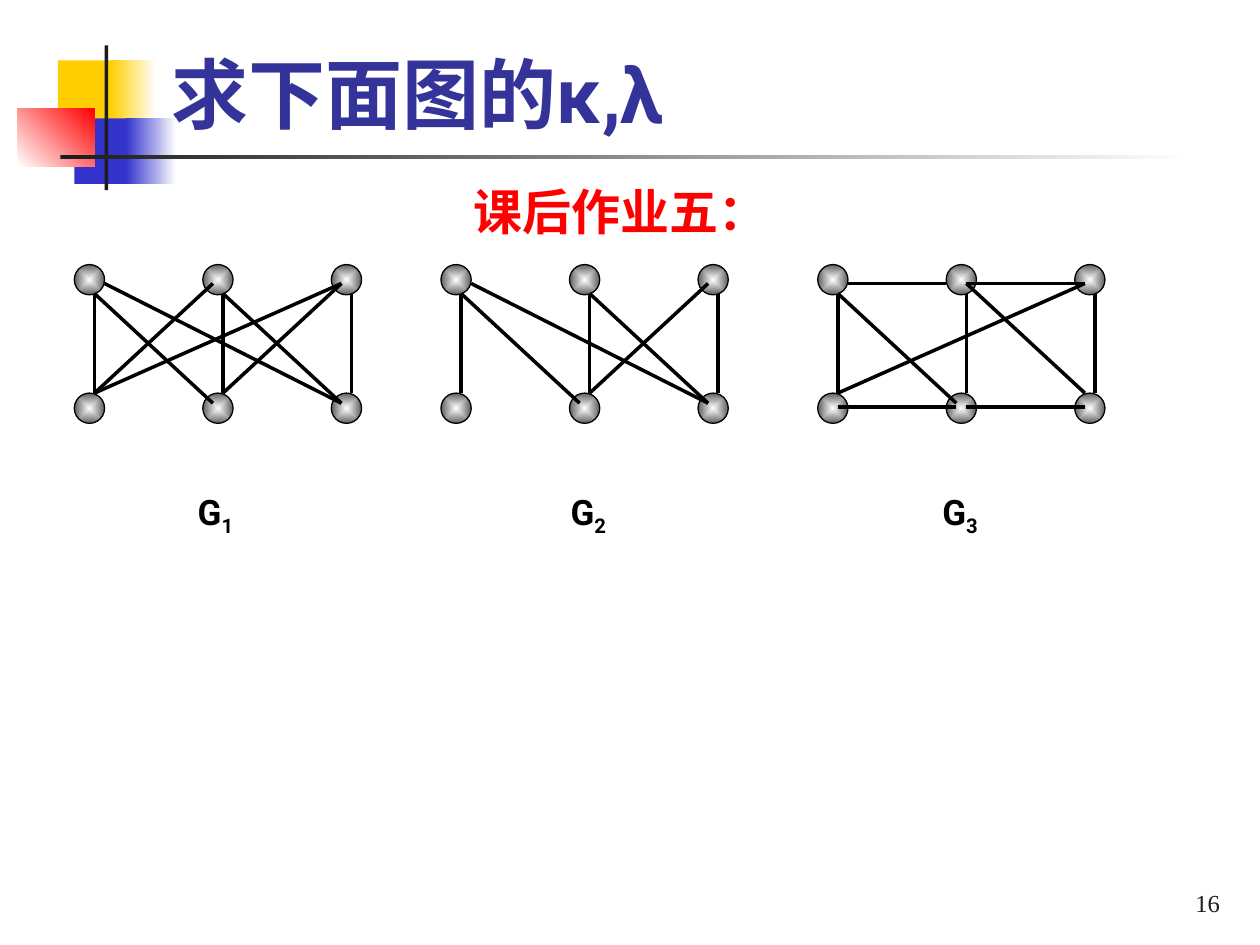
import dataclasses

import lxml.etree
import pptx
import pptx.dml.color
import pptx.enum.shapes
import pptx.enum.text
import pptx.oxml
import pptx.oxml.ns
import pptx.util

SHAPE = pptx.enum.shapes.MSO_SHAPE
ALIGN = pptx.enum.text.PP_ALIGN
ANCHOR = pptx.enum.text.MSO_ANCHOR
FIT = pptx.enum.text.MSO_AUTO_SIZE
COLUMNS, ROWS = 10, 7.5
CELL = pptx.util.Inches(1)
NODE, PITCH = 0.24, 1.02
NAMESPACE = pptx.oxml.ns.nsdecls("a")


@dataclasses.dataclass(frozen=True)
class Theme:
    """Colours, fonts and type sizes of the slide."""
    yellow: str = "FFCF01"
    blue: str = "3333CC"
    red: str = "FF0000"
    white: str = "FFFFFF"
    dark: str = "1C1C1C"
    black: str = "000000"
    gray: str = "5F5F5F"
    title: str = "333399"
    sans: str = "Roboto"
    serif: str = "Times New Roman"
    title_size: int = 44
    heading_size: int = 28
    label_size: int = 20
    number_size: int = 14


THEME = Theme()

ANCHORS = {
    "top": (0.16, 0), "foot": (0.16, 0.23), "right": (0.24, 0.15), "left": (0, 0.15),
    "low": (0.08, 0.15), "high": (0.08, 0.08), "crown": (0.08, 0), "heart": (0.16, 0.15),
    "core": (0.16, 0.11), "inner": (0.08, 0.11),
}
UPRIGHTS = [((column, 0, "foot"), (column, 1, "top")) for column in range(3)]
SHARED = UPRIGHTS + [
    ((0, 0, "foot"), (1, 1, "high")),
    ((0, 0, "right"), (2, 1, "high")),
    ((1, 0, "foot"), (2, 1, "high")),
    ((1, 1, "top"), (2, 0, "low")),
]
GRAPHS = [
    (0.59, 1.47, SHARED + [
        ((0, 1, "top"), (1, 0, "low")),
        ((0, 1, "top"), (2, 0, "low")),
    ]),
    (3.5, 4.43, SHARED),
    (6.49, 7.38, UPRIGHTS + [
        ((0, 0, "foot"), (1, 1, "high")),
        ((0, 0, "right"), (1, 0, "left")),
        ((0, 1, "top"), (2, 0, "low")),
        ((1, 0, "heart"), (2, 0, "low")),
        ((1, 0, "heart"), (2, 1, "crown")),
        ((0, 1, "core"), (1, 1, "inner")),
        ((1, 1, "core"), (2, 1, "inner")),
    ]),
]


def cells(*lengths):
    """Turn grid lengths into slide units."""
    return [round(length * CELL) for length in lengths]


def colour(code):
    """Turn a hexadecimal code into a colour."""
    return pptx.dml.color.RGBColor.from_string(code)


def paint(shape, codes, angle=0):
    """Fill a shape with one colour or a two-colour gradient."""
    shape.shadow.inherit = False
    shape.line.fill.background()
    if len(codes) == 1:
        shape.fill.solid()
        shape.fill.fore_color.rgb = colour(codes[0])
        return
    shape.fill.gradient()
    shape.fill.gradient_angle = angle
    for stop, position, code in zip(shape.fill.gradient_stops, (0, 1), codes):
        stop.position = position
        stop.color.rgb = colour(code)


def style(para, size, code, font=THEME.sans, bold=True):
    """Set the type of a paragraph."""
    para.font.size = pptx.util.Pt(size)
    para.font.name = font
    para.font.bold = bold
    para.font.color.rgb = colour(code)


def add_text(page, box, words, size, code, **type_options):
    """Add a one-paragraph text box and return its frame."""
    frame = page.shapes.add_textbox(*cells(*box)).text_frame
    frame.word_wrap = True
    para = frame.paragraphs[0]
    para.add_run().text = words
    style(para, size, code, **type_options)
    return frame


def add_ornament(page, left, top):
    """Draw the coloured blocks and rules beside the title."""
    blocks = [
        (0.32, 0.12, 0.48, 0.52, [THEME.yellow], 0),
        (0.74, 0.12, 0.36, 0.52, [THEME.yellow, THEME.white], 0),
        (0.45, 0.58, 0.46, 0.52, [THEME.blue], 0),
        (0.86, 0.58, 0.4, 0.52, [THEME.blue, THEME.white], 0),
        (0, 0.5, 0.61, 0.46, [THEME.white, THEME.red], 45),
        (0.69, 0, 0.03, 1.15, [THEME.dark], 0),
        (0.34, 0.87, 9, 0.03, [THEME.dark, THEME.white], 0),
    ]
    for across, down, width, height, codes, angle in blocks:
        box = cells(left + across, top + down, width, height)
        paint(page.shapes.add_shape(SHAPE.RECTANGLE, *box), codes, angle)


def add_title(page, box, words):
    """Place and format the title with its soft shadow."""
    title = page.shapes.title
    title.left, title.top, title.width, title.height = cells(*box)
    frame = title.text_frame
    frame.auto_size = FIT.NONE
    frame.vertical_anchor = ANCHOR.BOTTOM
    para = frame.paragraphs[0]
    para.alignment = ALIGN.LEFT
    span = para.add_run()
    span.text = words
    style(para, THEME.title_size, THEME.title)
    span.font._element.append(pptx.oxml.parse_xml(
        f'<a:effectLst {NAMESPACE}><a:outerShdw dist="17961" dir="2700000">'
        f'<a:srgbClr val="{THEME.black}"/></a:outerShdw></a:effectLst>'))


def add_node(group, left, top):
    """Draw one graph node as a shaded ball."""
    node = group.shapes.add_shape(SHAPE.OVAL, *cells(left, top, NODE, NODE))
    paint(node, [THEME.white, THEME.gray])
    node.line.color.rgb = colour(THEME.black)
    node.line.width = pptx.util.Pt(0.75)
    linear = node._element.spPr.find(".//" + pptx.oxml.ns.qn("a:lin"))
    linear.getparent().replace(linear, pptx.oxml.parse_xml(
        f'<a:path {NAMESPACE} path="shape">'
        '<a:fillToRect l="50000" t="50000" r="50000" b="50000"/></a:path>'))


def add_edge(group, start, end):
    """Draw one graph edge between two points."""
    edge = group.shapes.add_connector(
        pptx.enum.shapes.MSO_CONNECTOR.STRAIGHT, *cells(*start, *end))
    edge.line.color.rgb = colour(THEME.black)
    edge.line.width = pptx.util.Pt(2)
    lxml.etree.SubElement(edge._element.spPr, pptx.oxml.ns.qn("a:effectLst"))


def add_graph(page, left, top, edges):
    """Draw a two-row graph with its nodes and edges."""
    group = page.shapes.add_group_shape()

    def locate(column, row, anchor):
        across, down = ANCHORS[anchor]
        return left + column * PITCH + across, top + row * PITCH + down

    for row in range(2):
        for column in range(3):
            add_node(group, left + column * PITCH, top + row * PITCH)
    for start, end in edges:
        add_edge(group, locate(*start), locate(*end))


def add_label(page, box, number):
    """Name a graph with a subscript number."""
    frame = add_text(page, box, "G", THEME.label_size, THEME.black)
    frame.word_wrap = False
    frame.auto_size = FIT.SHAPE_TO_FIT_TEXT
    span = frame.paragraphs[0].add_run()
    span.text = str(number)
    span.font._element.set("baseline", "-25000")


def main():
    """Build and save the slide."""
    deck = pptx.Presentation()
    deck.slide_width, deck.slide_height = cells(COLUMNS, ROWS)
    page = deck.slides.add_slide(deck.slide_layouts.get_by_name("Title Only"))
    add_ornament(page, 0.14, 0.36)
    add_title(page, (1.26, 0.08, 8.52, 1.07), "求下面图的κ,λ")
    for number, (left, label_left, edges) in enumerate(GRAPHS, 1):
        add_graph(page, left, 2.1, edges)
        add_label(page, (label_left, 3.84, 0.52, 0.44), number)
    footer = add_text(page, (7.7, 6.83, 2.08, 0.5), "16", THEME.number_size,
                      THEME.dark, font=THEME.serif, bold=False)
    footer.vertical_anchor = ANCHOR.BOTTOM
    footer.paragraphs[0].alignment = ALIGN.RIGHT
    heading = add_text(page, (3.66, 1.39, 2.19, 0.57), "课后作业五：",
                       THEME.heading_size, THEME.red)
    heading.auto_size = FIT.SHAPE_TO_FIT_TEXT
    deck.save("out.pptx")


if __name__ == "__main__":
    main()
